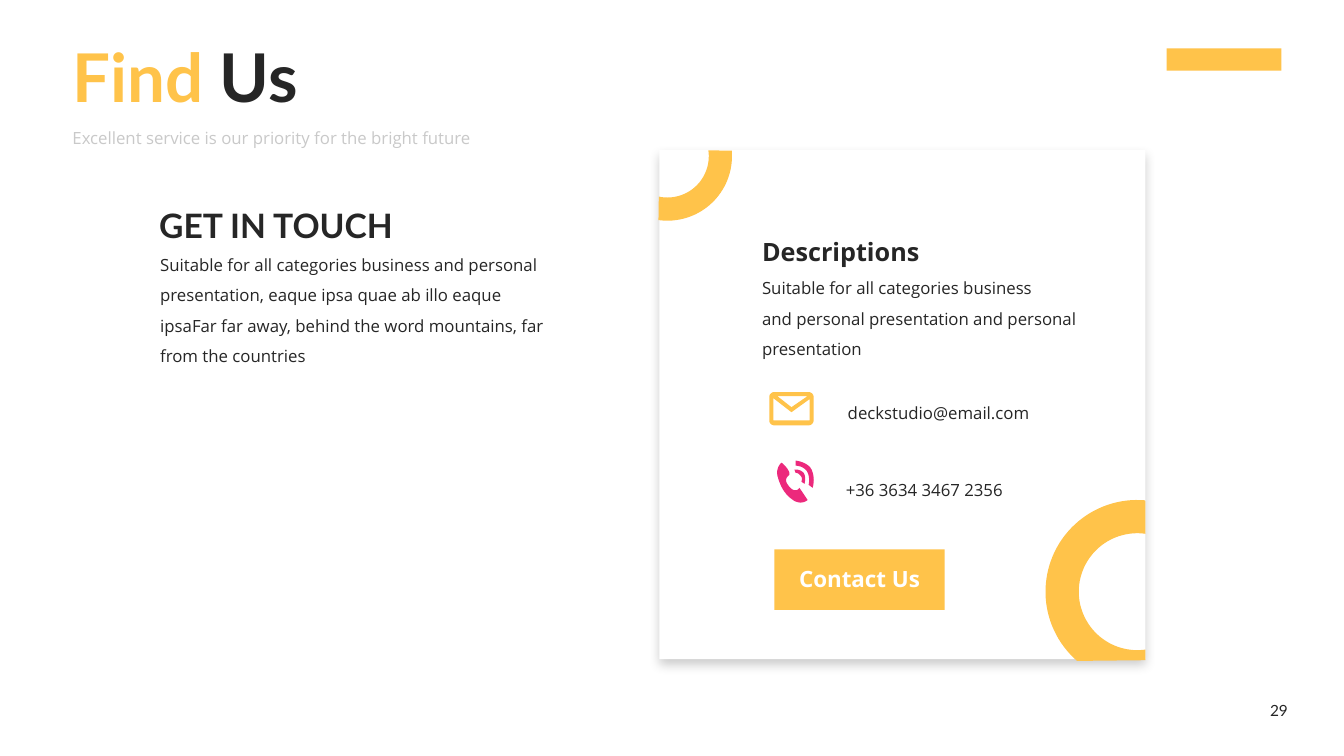
from dataclasses import dataclass
from math import cos, radians, sin

from lxml import etree
from pptx import Presentation
from pptx.dml.color import RGBColor
from pptx.enum.shapes import MSO_SHAPE
from pptx.enum.text import MSO_ANCHOR, PP_ALIGN
from pptx.oxml.ns import qn
from pptx.shapes.autoshape import Shape
from pptx.slide import Slide
from pptx.util import Inches, Pt

RECT = MSO_SHAPE.RECTANGLE
LEFT, CENTER = PP_ALIGN.LEFT, PP_ALIGN.CENTER
TOP, MIDDLE = MSO_ANCHOR.TOP, MSO_ANCHOR.MIDDLE
HEAD, BODY = "Lato", "Open Sans"
COLORS = {"yellow": "FFC34A", "dark": "262626", "grey": "C9C9C9",
          "white": "FFFFFF", "pink": "EC297C"}

Point = tuple[float, float]
Box = tuple[float, float, float, float]
Run = tuple[str, str]


@dataclass
class Text:
    box: Box
    paragraphs: list[list[Run]]
    size: float = 12
    font: str = BODY
    bold: bool = False
    spacing: float = 1.5
    align: PP_ALIGN = LEFT
    anchor: MSO_ANCHOR = TOP


@dataclass
class Outline:
    color: str
    contours: list[list[Point]]


def rgb(name: str) -> RGBColor:
    return RGBColor.from_string(COLORS[name])


def paint(sp: Shape, color: str) -> Shape:
    """Give a flat fill with no line and no shadow."""
    sp.shadow.inherit = False
    sp.fill.solid()
    sp.fill.fore_color.rgb = rgb(color)
    sp.line.fill.background()
    return sp


def add_rect(s: Slide, box: Box, color: str) -> Shape:
    return paint(s.shapes.add_shape(RECT, *map(Inches, box)), color)


def add_card_shadow(sp: Shape) -> None:
    effects = sp._element.spPr.find(qn("a:effectLst"))
    shadow = etree.SubElement(effects, qn("a:outerShdw"), blurRad=str(Pt(8)),
                              dist=str(Pt(4)), dir="5400000", rotWithShape="0")
    color = etree.SubElement(shadow, qn("a:srgbClr"), val="000000")
    etree.SubElement(color, qn("a:alpha"), val="20000")


def add_outline(s: Slide, outline: Outline) -> None:
    first, *holes = [[(Inches(x), Inches(y)) for x, y in contour]
                     for contour in outline.contours]
    builder = s.shapes.build_freeform(*first[0])
    builder.add_line_segments(first[1:])
    for hole in holes:
        builder.move_to(*hole[0])
        builder.add_line_segments(hole[1:])
    paint(builder.convert_to_shape(), outline.color)


def add_text(s: Slide, text: Text) -> None:
    tf = s.shapes.add_textbox(*map(Inches, text.box)).text_frame
    tf.word_wrap = True
    tf.vertical_anchor = text.anchor
    for i, runs in enumerate(text.paragraphs):
        p = tf.add_paragraph() if i else tf.paragraphs[0]
        p.alignment = text.align
        p.line_spacing = text.spacing
        p.font.name, p.font.size, p.font.bold = text.font, Pt(text.size), text.bold
        for words, color in runs:
            r = p.add_run()
            r.text = words
            r.font.color.rgb = rgb(color)


def arc(center: Point, radius: float, start: float, end: float) -> list[Point]:
    """Points along an arc, in degrees clockwise from the right."""
    steps = max(8, round(abs(end - start) / 3))
    angles = [radians(start + (end - start) * i / steps) for i in range(steps + 1)]
    return [(center[0] + radius * cos(a), center[1] + radius * sin(a)) for a in angles]


def curve(start: Point, *segments: tuple[float, ...]) -> list[Point]:
    """Points along a chain of lines (2 numbers) and cubic curves (6 numbers)."""
    points, steps = [start], 10
    for seg in segments:
        if len(seg) == 2:
            points.append(seg)
            continue
        a, b, c, d = points[-1], seg[:2], seg[2:4], seg[4:]
        for i in range(1, steps + 1):
            t = i / steps
            u = 1 - t
            points.append(tuple(u**3 * a[k] + 3 * u * u * t * b[k]
                                + 3 * u * t * t * c[k] + t**3 * d[k] for k in (0, 1)))
    return points


LOWER_RING, UPPER_RING = (11.28, 5.87), (6.62, 1.55)
RINGS = [
    Outline("yellow", [arc(LOWER_RING, 0.91, 275, 131) + [(11.36, 6.55)]
                       + arc(LOWER_RING, 0.58, 82, 278)]),
    Outline("yellow", [arc(UPPER_RING, 0.64, -5, 98)
                       + arc(UPPER_RING, 0.41, 102, -8)]),
]
ENVELOPE = Outline("yellow", [
    arc((7.68, 3.94), 0.05, 180, 270) + arc((8.02, 3.94), 0.05, 270, 360)
    + arc((8.02, 4.17), 0.05, 0, 90) + arc((7.68, 4.17), 0.05, 90, 180),
    [(8.01, 3.93), (7.85, 4.04), (7.71, 3.93)],
    [(7.67, 3.95), (7.85, 4.09), (8.03, 3.96), (8.03, 4.17), (7.67, 4.17)],
])
PHONE = [Outline("pink", [points]) for points in (
    curve((7.75, 4.59), (7.75, 4.59, 7.68, 4.65, 7.72, 4.75),
          (7.75, 4.85, 7.8, 4.92, 7.88, 4.97), (7.96, 5.01, 8.01, 4.96, 8.01, 4.96),
          (7.93, 4.84), (7.93, 4.84, 7.89, 4.9, 7.83, 4.83),
          (7.79, 4.78, 7.78, 4.75, 7.83, 4.71), (7.84, 4.67, 7.77, 4.6, 7.75, 4.59)),
    curve((7.88, 4.66), (7.89, 4.69), (7.89, 4.69, 7.92, 4.69, 7.94, 4.72),
          (7.95, 4.73, 7.96, 4.74, 7.95, 4.78), (7.98, 4.8),
          (7.98, 4.8, 8, 4.73, 7.97, 4.69), (7.93, 4.65, 7.88, 4.66, 7.88, 4.66)),
    curve((7.89, 4.62), (7.89, 4.57), (7.89, 4.57, 8.01, 4.58, 8.05, 4.66),
          (8.09, 4.75, 8.06, 4.84, 8.06, 4.84), (8.02, 4.81),
          (8.02, 4.81, 8.04, 4.73, 8, 4.67), (7.96, 4.62, 7.89, 4.62, 7.89, 4.62)),
)]
TEXTS = [
    Text((12.38, 6.84, 0.61, 0.41), [[("29", "dark")]], 11, HEAD, spacing=1,
         align=CENTER, anchor=MIDDLE),
    Text((0.62, 0.35, 8.01, 0.91), [[("Find", "yellow"), (" Us", "dark")]], 48, HEAD,
         True, 0.9, anchor=MIDDLE),
    Text((0.62, 1.24, 4.82, 0.24),
         [[("Excellent service is our priority for the bright future", "grey")]],
         spacing=0.9),
    Text((1.48, 1.78, 4.45, 0.63), [[("GET IN TOUCH", "dark")]], 24, HEAD, True),
    Text((1.49, 2.38, 4.11, 1.28),
         [[("Suitable for all categories business and personal presentation, eaque ipsa "
            "quae ab illo eaque ipsaFar far away, behind the word mountains, far from "
            "the countries", "dark")]]),
    Text((7.46, 2.3, 1.9, 0.4), [[("Descriptions", "dark")]], 18, bold=True, spacing=1),
    Text((7.46, 2.61, 3.5, 0.98),
         [[("Suitable for all categories business", "dark")],
          [("and personal presentation and personal presentation", "dark")]]),
    Text((8.31, 3.85, 2.5, 0.4), [[("deckstudio@email.com", "dark")]]),
    Text((8.29, 4.61, 2.18, 0.37), [[("+36 3634 3467 2356", "dark")]]),
    Text((7.68, 5.56, 1.69, 0.37), [[("Contact Us", "white")]], 16, bold=True,
         spacing=1, align=CENTER),
]


def main() -> None:
    prs = Presentation()
    prs.slide_width, prs.slide_height = Inches(13.33), Inches(7.5)
    s = prs.slides.add_slide(prs.slide_layouts[6])
    add_card_shadow(add_rect(s, (6.54, 1.49, 4.82, 5.05), "white"))
    for outline in [*RINGS, ENVELOPE, *PHONE]:
        add_outline(s, outline)
    add_rect(s, (7.68, 5.45, 1.69, 0.6), "yellow")
    add_rect(s, (11.57, 0.48, 1.14, 0.22), "yellow")
    for text in TEXTS:
        add_text(s, text)
    prs.save("out.pptx")


if __name__ == "__main__":
    main()
